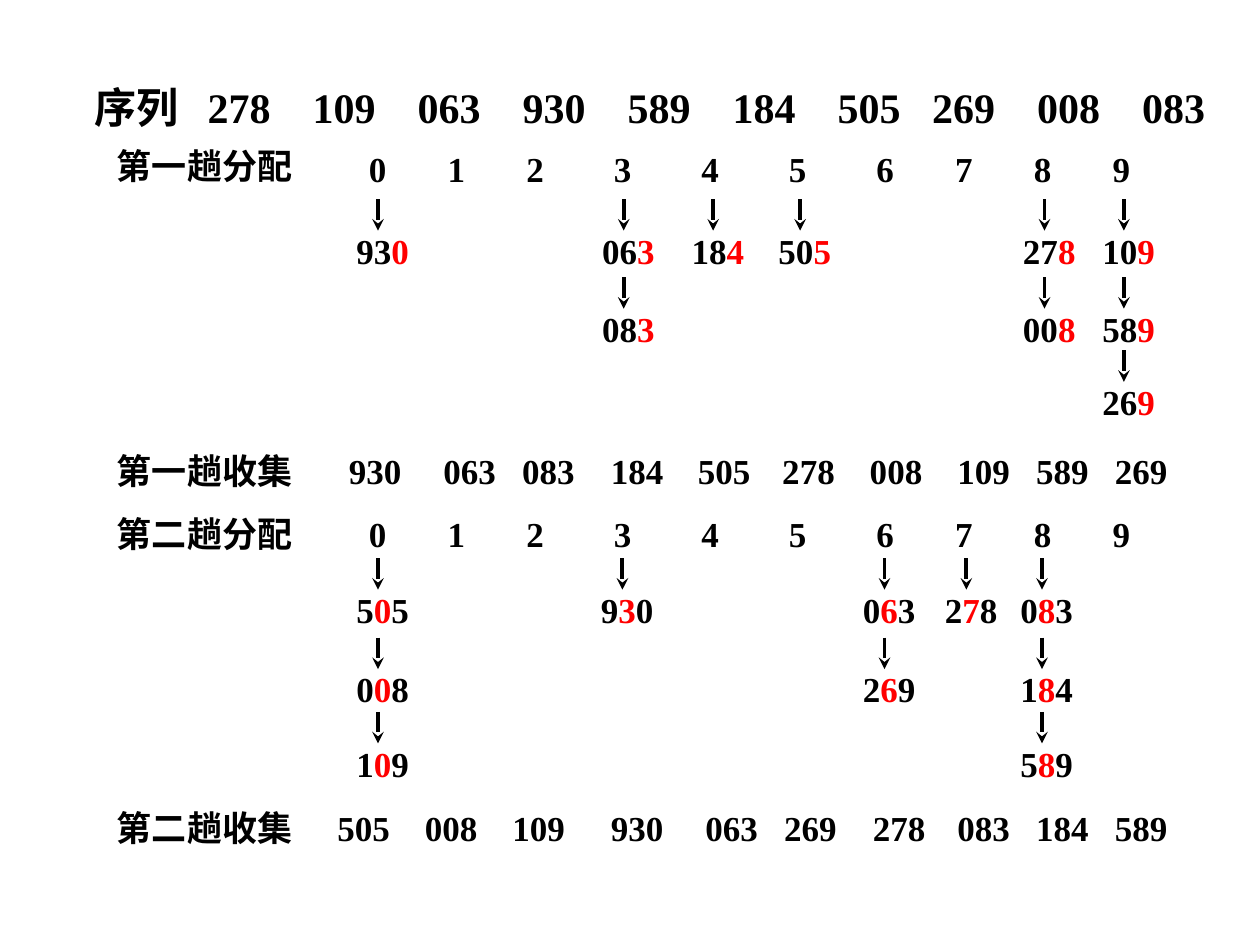
import pptx
import pptx.util
import pptx.dml.color
import pptx.enum.shapes
import pptx.enum.text
import pptx.oxml.ns
from itertools import accumulate
from lxml import etree

Inches = pptx.util.Inches
Pt = pptx.util.Pt
BLACK = pptx.dml.color.RGBColor(0x00, 0x00, 0x00)
RED = pptx.dml.color.RGBColor(0xFF, 0x00, 0x00)
FONT = "Times New Roman"

# Spaces' worth of gap between neighbouring numbers
LIST_GAPS = [4, 4, 4, 4, 4, 4, 3, 4, 4]
BIN_GAPS = [7, 7, 8, 8, 8, 8, 7, 7, 7]

# Each pass: arrow tops, place of the red digit, chains by arrow x
PASSES = [
    ((1.58, 2.2, 2.78), 2, {
        3: ["930"], 4.95: ["063", "083"], 5.66: ["184"], 6.35: ["505"],
        8.29: ["278", "008"], 8.92: ["109", "589", "269"]}),
    ((4.43, 5.06, 5.65), 1, {
        3: ["505", "008", "109"], 4.94: ["930"], 7.02: ["063", "269"],
        7.67: ["278"], 8.27: ["083", "184", "589"]}),
]

# Collected lists: label, top, pieces of (left, width, gap, numbers)
LISTS = [
    ("第一趟收集", 3.52, [
        (2.67, 1.08, 0, "930"), (3.42, 1.58, 3, "063 083"),
        (4.75, 1.58, 0, "184"), (5.44, 1.58, 0, "505"),
        (6.11, 1.58, 4, "278 008"), (7.5, 2.08, 3, "109 589 269")]),
    ("第二趟收集", 6.35, [
        (2.58, 2.17, 4, "505 008 109"), (4.75, 2.17, 0, "930"),
        (5.5, 2.17, 3, "063 269"), (6.83, 2.17, 0, "278"),
        (7.5, 2.17, 3, "083 184 589")]),
]


def add_text(shapes, left, top, width, parts, size=20, height=0.44):
    """Add a box whose parts are (text, colour) runs."""
    box = shapes.add_textbox(
        Inches(left), Inches(top), Inches(width), Inches(height))
    frame = box.text_frame
    frame.word_wrap = True
    frame.auto_size = pptx.enum.text.MSO_AUTO_SIZE.SHAPE_TO_FIT_TEXT
    para = frame.paragraphs[0]
    para.font.size = Pt(size)
    para.font.name = FONT
    para.font.bold = True
    for text, color in parts:
        run = para.add_run()
        run.text = text
        run.font.color.rgb = color
    return para


def set_tabs(para, stops):
    props = para._p.get_or_add_pPr()
    tabs = etree.Element(pptx.oxml.ns.qn("a:tabLst"))
    for stop in stops:
        etree.SubElement(tabs, pptx.oxml.ns.qn("a:tab"),
                         pos=str(Inches(stop)), algn="l")
    # Tab stops come before the default run properties
    props.insert(0, tabs)


def find_stops(digits, gaps, size=20, start=0):
    """A digit is half an em wide and a space a quarter."""
    steps = [(digits / 2 + gap / 4) * size / 72 for gap in gaps]
    return list(accumulate(steps, initial=start))


def add_row(shapes, left, top, width, words, gaps):
    para = add_text(shapes, left, top, width, [("\t".join(words), BLACK)])
    if gaps:
        set_tabs(para, find_stops(len(words[0]), gaps)[1:])


def add_arrow(shapes, x, top):
    line = shapes.add_connector(
        pptx.enum.shapes.MSO_CONNECTOR.STRAIGHT,
        Inches(x), Inches(top), Inches(x), Inches(top + 0.25))
    line.line.color.rgb = BLACK
    line.line.width = Pt(2.25)
    etree.SubElement(line.line._get_or_add_ln(),
                     pptx.oxml.ns.qn("a:tailEnd"), type="stealth")
    etree.SubElement(line._element.spPr, pptx.oxml.ns.qn("a:effectLst"))


def add_node(slide, x, top, number, mark):
    """Group an arrow with the number that it points to."""
    group = slide.shapes.add_group_shape()
    add_arrow(group.shapes, x, top)
    parts = [(number[:mark], BLACK), (number[mark], RED),
             (number[mark + 1:], BLACK)]
    add_text(group.shapes, x - 0.27, top + 0.19, 0.75,
             [part for part in parts if part[0]])


def main():
    deck = pptx.Presentation()
    deck.slide_width, deck.slide_height = Inches(10), Inches(7.5)
    slide = deck.slides.add_slide(deck.slide_layouts[6])
    shapes = slide.shapes

    # Input sequence
    words = "序列 278 109 063 930 589 184 505 269 008 083".split()
    para = add_text(shapes, 0.35, 0.6, 9.4,
                    [("\t" + "\t".join(words), BLACK)], 24, 0.5)
    set_tabs(para, [0.3] + find_stops(3, LIST_GAPS, 24, 1.2))

    # Bin headings
    for label, top, shift in (("第一趟分配", 1.1, 0.02),
                              ("第二趟分配", 4.02, 0)):
        add_text(shapes, 0.83, top, 1.92, [(label, BLACK)])
        add_row(shapes, 2.83, top + shift, 6.92, list("0123456789"), BIN_GAPS)

    # Numbers chained under their bins
    for tops, mark, chains in PASSES:
        for x, chain in chains.items():
            for top, number in zip(tops, chain):
                add_node(slide, x, top, number, mark)

    # Collected lists
    for label, top, pieces in LISTS:
        add_text(shapes, 0.83, top, 2.33, [(label, BLACK)])
        for left, width, gap, text in pieces:
            words = text.split()
            add_row(shapes, left, top, width, words, [gap] * (len(words) - 1))

    deck.save("out.pptx")


if __name__ == "__main__":
    main()
